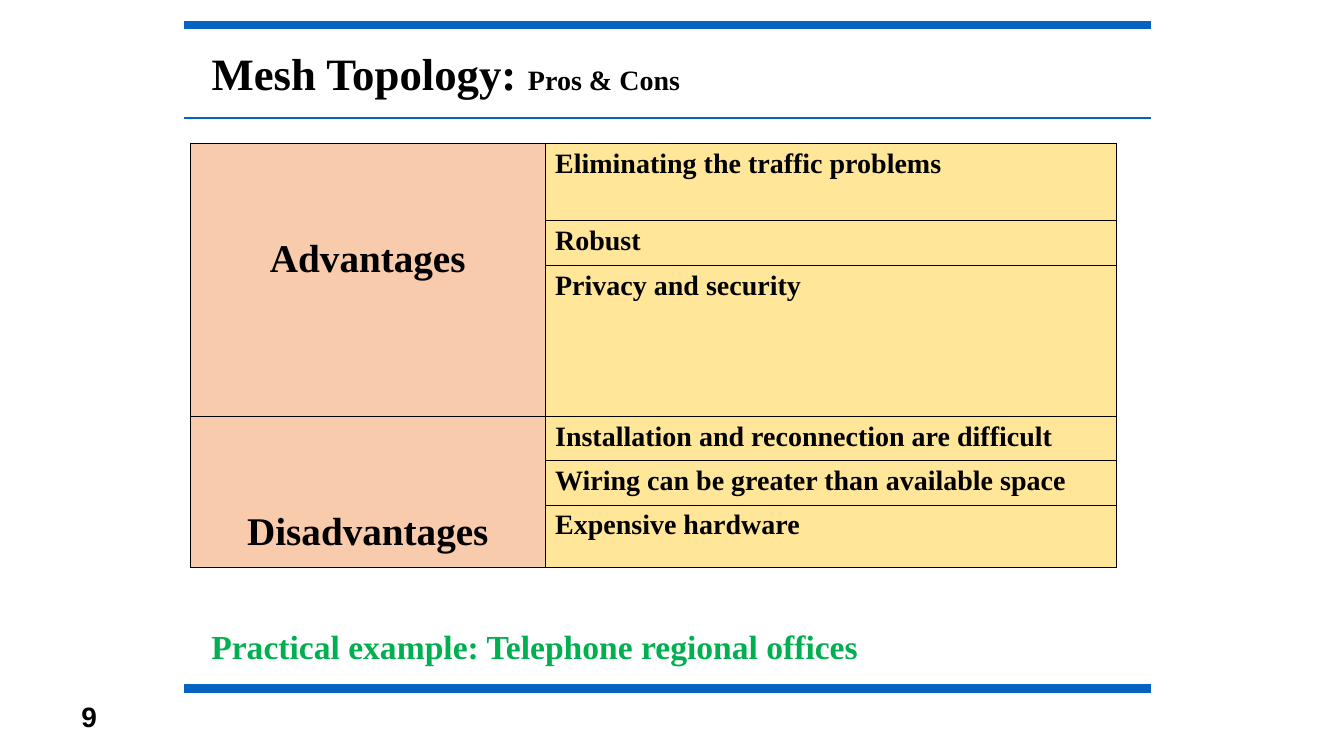
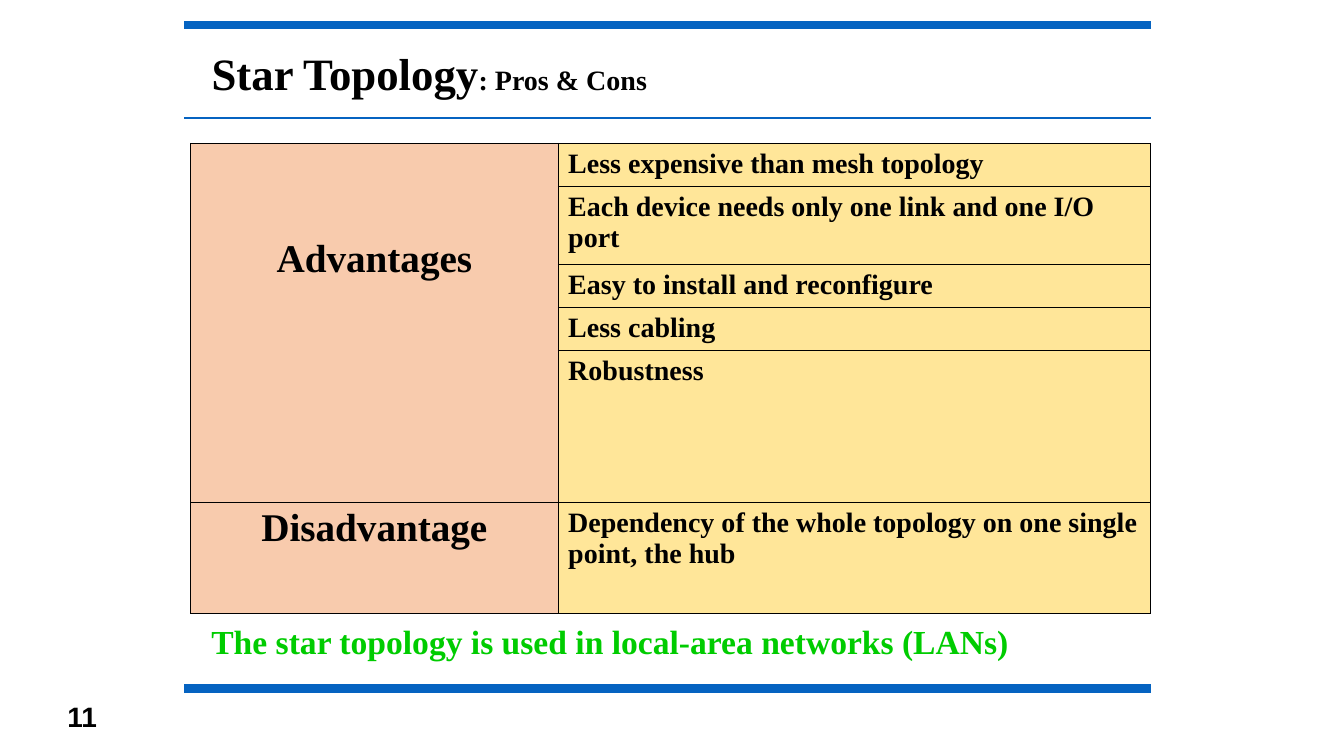
from lxml.etree import SubElement
from pptx import Presentation
from pptx.dml.color import RGBColor
from pptx.enum.shapes import MSO_CONNECTOR
from pptx.enum.text import MSO_ANCHOR, MSO_AUTO_SIZE, PP_ALIGN
from pptx.oxml import parse_xml
from pptx.oxml.ns import nsdecls, qn
from pptx.util import Inches, Pt

BLACK = RGBColor(0x00, 0x00, 0x00)
RULE_BLUE = RGBColor(0x05, 0x63, 0xC1)
GROUP_PEACH = RGBColor(0xF8, 0xCB, 0xAD)
POINT_YELLOW = RGBColor(0xFF, 0xE6, 0x99)
MESH_GREEN = RGBColor(0x00, 0xB0, 0x50)
STAR_GREEN = RGBColor(0x00, 0xCC, 0x00)

SERIF = "Times New Roman"
RULE_LEFT, RULE_RIGHT = 1.83, 11.42
RULES = [(0.25, 6), (1.17, 1.5), (6.83, 6)]  # height on the slide, weight
TABLE_LEFT, TABLE_TOP = 1.89, 1.42
BORDER_WIDTH = Pt(0.45)
LOWERED_MARGIN = 0.94  # leaves two label lines free above the label


def write(paragraph, text, size=20, color=BLACK, font=SERIF,
          align=PP_ALIGN.LEFT, spacing=None):
    """Add a bold run to the paragraph."""
    paragraph.alignment = align
    if spacing:
        paragraph.line_spacing = spacing
    run = paragraph.add_run()
    run.text = text
    run.font.size = Pt(size)
    run.font.bold = True
    run.font.name = font
    run.font.color.rgb = color


def add_rules(slide):
    for y, weight in RULES:
        rule = slide.shapes.add_connector(
            MSO_CONNECTOR.STRAIGHT, Inches(RULE_LEFT), Inches(y),
            Inches(RULE_RIGHT), Inches(y))
        rule.line.color.rgb = RULE_BLUE
        rule.line.width = Pt(weight)
        SubElement(rule._element.spPr, qn("a:effectLst"))


def add_title(slide, heading, subheading):
    title = slide.shapes.title
    title.left, title.top = Inches(2), Inches(0.4)
    title.width, title.height = Inches(4.9), Inches(0.64)
    frame = title.text_frame
    frame.word_wrap = False
    frame.auto_size = MSO_AUTO_SIZE.NONE
    frame.vertical_anchor = MSO_ANCHOR.TOP
    write(frame.paragraphs[0], heading, size=32)
    write(frame.paragraphs[0], subheading)


def add_text_box(slide, box, text, anchor=MSO_ANCHOR.TOP, **text_format):
    frame = slide.shapes.add_textbox(*map(Inches, box)).text_frame
    frame.word_wrap = True
    frame.vertical_anchor = anchor
    write(frame.paragraphs[0], text, **text_format)


def style_cell(cell, fill):
    properties = cell._tc.get_or_add_tcPr()
    for side in ("lnL", "lnR", "lnT", "lnB"):
        properties.append(parse_xml(
            f'<a:{side} {nsdecls("a")} w="{BORDER_WIDTH}"><a:solidFill>'
            f'<a:srgbClr val="{BLACK}"/></a:solidFill></a:{side}>'))
    cell.fill.solid()
    cell.fill.fore_color.rgb = fill


def add_pros_cons_table(slide, column_widths, groups):
    """Each group is (label, label is lowered, [(point, row height), ...])."""
    points = [point for _, _, members in groups for point in members]
    table = slide.shapes.add_table(
        len(points), 2, Inches(TABLE_LEFT), Inches(TABLE_TOP),
        Inches(sum(column_widths)),
        Inches(sum(height for _, height in points))).table
    table.first_row = table.horz_banding = False
    for column, width in zip(table.columns, column_widths):
        column.width = Inches(width)

    for row, (point, height) in enumerate(points):
        table.rows[row].height = Inches(height)
        style_cell(table.cell(row, 0), GROUP_PEACH)
        style_cell(table.cell(row, 1), POINT_YELLOW)
        write(table.cell(row, 1).text_frame.paragraphs[0], point)

    first = 0
    for label, lowered, members in groups:
        label_cell = table.cell(first, 0)
        if len(members) > 1:
            label_cell.merge(table.cell(first + len(members) - 1, 0))
        if lowered:
            label_cell.margin_top = Inches(LOWERED_MARGIN)
        write(label_cell.text_frame.paragraphs[0], label, size=28,
              align=PP_ALIGN.CENTER)
        first += len(members)


def add_topology_slide(deck, number, heading, subheading, column_widths,
                       groups, usage, **usage_format):
    slide = deck.slides.add_slide(deck.slide_layouts[5])
    add_rules(slide)
    add_title(slide, heading, subheading)
    add_pros_cons_table(slide, column_widths, groups)
    add_text_box(slide, (2, 6.16, 9.83, 0.5), usage, size=24, **usage_format)
    add_text_box(slide, (0.17, 6.83, 0.89, 0.55), str(number), font="Arial",
                 align=PP_ALIGN.RIGHT, anchor=MSO_ANCHOR.MIDDLE)


def main():
    deck = Presentation()
    deck.slide_width, deck.slide_height = Inches(13.34), Inches(7.5)

    add_topology_slide(
        deck, 9, "Mesh Topology: ", "Pros & Cons", (3.52, 5.67),
        [("Advantages", True, [
            ("Eliminating the traffic problems", 0.77),
            ("Robust", 0.44),
            ("Privacy and security", 1.5)]),
         ("Disadvantages", True, [
             ("Installation and reconnection are difficult", 0.44),
             ("Wiring can be greater than available space", 0.44),
             ("Expensive hardware", 0.62)])],
        "Practical example: Telephone regional offices",
        color=MESH_GREEN, align=PP_ALIGN.JUSTIFY)

    add_topology_slide(
        deck, 11, "Star Topology", ": Pros & Cons", (3.65, 5.88),
        [("Advantages", True, [
            ("Less expensive than mesh topology", 0.43),
            ("Each device needs only one link and one I/O port", 0.77),
            ("Easy to install and reconfigure", 0.43),
            ("Less cabling", 0.43),
            ("Robustness", 1.5)]),
         ("Disadvantage", False, [
             ("Dependency of the whole topology on one single point, the hub",
              1.1)])],
        "The star topology is used in local-area networks (LANs)",
        color=STAR_GREEN, spacing=0.9)

    deck.save("out.pptx")


if __name__ == "__main__":
    main()
